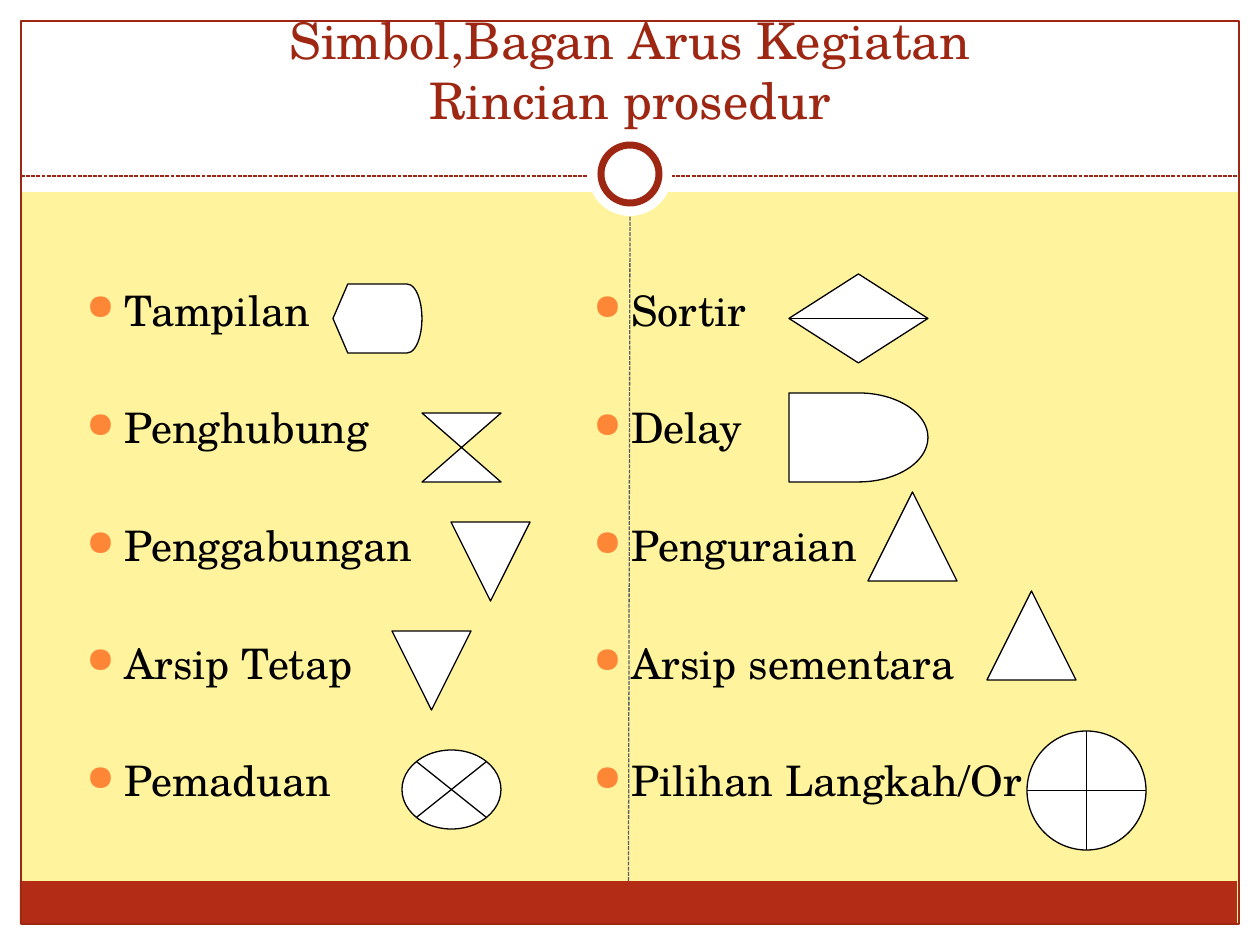
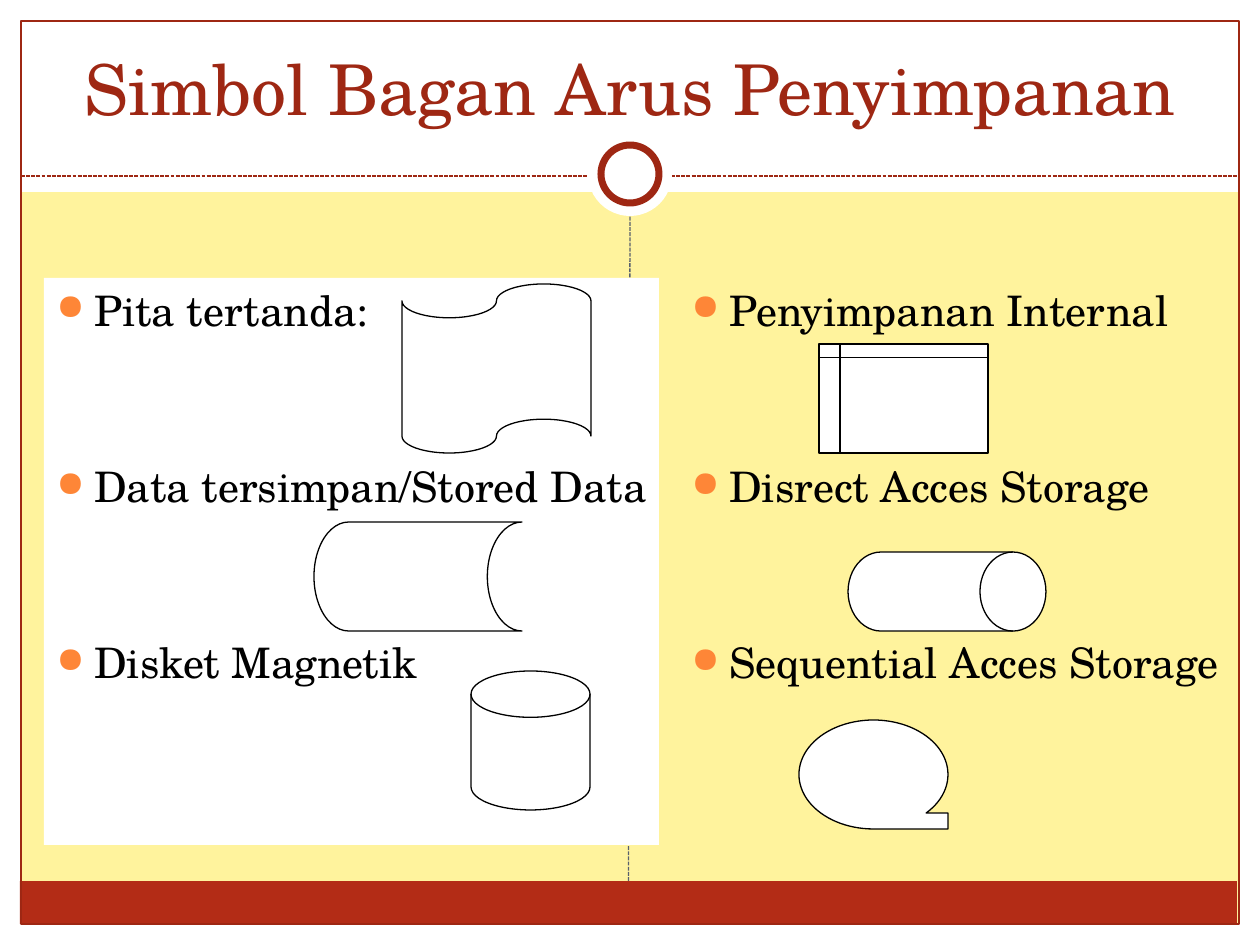
from dataclasses import dataclass

from lxml import etree
from pptx import Presentation, util as u
from pptx.dml.color import RGBColor
from pptx.enum import dml, shapes, text
from pptx.oxml.ns import qn

Symbol = shapes.MSO_SHAPE
EMU_PER_PX = u.Inches(1) / 126
SLIDE_WIDTH, SLIDE_HEIGHT = 1260, 945


@dataclass(frozen=True)
class Theme:
    font: str = "TeX Gyre Schola"
    background: str = "FFF39D"
    paper: str = "FFFFFF"
    ink: str = "000000"
    accent: str = "9E2713"
    band: str = "B32C16"
    divider: str = "575F6D"
    bullet: str = "FE8637"
    hairline: float = 0.75
    ring_line: float = 4
    body_size: float = 24
    first_space: float = 4.8


THEME = Theme()


def px(length):
    return u.Emu(round(length * EMU_PER_PX))


def rgb(colour):
    return RGBColor.from_string(colour)


def add_shape(slide, kind, box, fill=None, line=None, width=THEME.hairline):
    shape = slide.shapes.add_shape(kind, *map(px, box))
    shape.shadow.inherit = False
    if fill:
        shape.fill.solid()
        shape.fill.fore_color.rgb = rgb(fill)
    else:
        shape.fill.background()
    if line:
        shape.line.color.rgb = rgb(line)
        shape.line.width = u.Pt(width)
    else:
        shape.line.fill.background()
    return shape


def add_dashed_line(slide, start, end, colour):
    line = slide.shapes.add_connector(
        shapes.MSO_CONNECTOR.STRAIGHT, *map(px, (*start, *end)))
    line.line.color.rgb = rgb(colour)
    line.line.width = u.Pt(THEME.hairline)
    line.line.dash_style = dml.MSO_LINE.SQUARE_DOT
    etree.SubElement(line._element.spPr, qn("a:effectLst"))
    return line


def add_text_box(slide, box):
    shape = slide.shapes.add_textbox(*map(px, box))
    shape.text_frame.word_wrap = True
    return shape


def set_font(paragraph, size, colour):
    paragraph.font.name = THEME.font
    paragraph.font.size = u.Pt(size)
    paragraph.font.color.rgb = rgb(colour)


def set_bullet(paragraph):
    """Give the paragraph a hanging round bullet; call before set_font."""
    properties = paragraph._p.get_or_add_pPr()
    properties.set("marL", str(u.Inches(0.3)))
    properties.set("indent", str(-u.Inches(0.3)))
    colour = etree.SubElement(properties, qn("a:buClr"))
    etree.SubElement(colour, qn("a:srgbClr"), val=THEME.bullet)
    etree.SubElement(properties, qn("a:buSzPct"), val="85000")
    etree.SubElement(properties, qn("a:buChar"), char="●")


def add_frame(slide):
    """Draw the white margins, the red band, the border and the ring."""
    margin, rule_y, middle = 21, 176, SLIDE_WIDTH // 2
    right, bottom = SLIDE_WIDTH - margin, SLIDE_HEIGHT - margin
    for box in ((0, bottom, SLIDE_WIDTH, margin),
                (0, 0, SLIDE_WIDTH, 192),
                (0, 0, margin, SLIDE_HEIGHT),
                (right, 0, margin, SLIDE_HEIGHT)):
        add_shape(slide, Symbol.RECTANGLE, box, THEME.paper)
    band = add_shape(slide, Symbol.RECTANGLE, (20, 881, 1217, 43), THEME.band)
    add_shape(slide, Symbol.RECTANGLE,
              (margin, margin, right - margin, bottom - margin),
              line=THEME.accent)
    add_dashed_line(slide, (margin, rule_y), (right, rule_y), THEME.accent)
    add_shape(slide, Symbol.OVAL, (588, 132, 84, 84), THEME.paper)
    add_shape(slide, Symbol.OVAL, (601, 145, 58, 58),
              THEME.paper, THEME.accent, THEME.ring_line)
    divider = add_dashed_line(slide, (middle, 881), (middle, 216),
                              THEME.divider)
    divider.begin_connect(band, 0)


def add_title(slide, lines, size):
    frame = add_text_box(slide, (42, 0, 1176, 136)).text_frame
    frame.vertical_anchor = text.MSO_ANCHOR.BOTTOM
    paragraph = frame.paragraphs[0]
    paragraph.alignment = text.PP_ALIGN.CENTER
    for index, line in enumerate(lines):
        if index:
            paragraph.add_line_break()
        paragraph.add_run().text = line
    set_font(paragraph, size, THEME.accent)


def add_symbol_column(slide, column, space):
    """Add a bulleted list and its symbols, placed from the column's corner."""
    left, top, _, _ = column["box"]
    shape = add_text_box(slide, column["box"])
    if "fill" in column:
        shape.fill.solid()
        shape.fill.fore_color.rgb = rgb(column["fill"])
    frame = shape.text_frame
    frame.margin_right = 0
    for index, (label, kind, (x, y, width, height)) in enumerate(column["items"]):
        paragraph = frame.add_paragraph() if index else frame.paragraphs[0]
        paragraph.text = label
        paragraph.space_before = u.Pt(space if index else THEME.first_space)
        set_bullet(paragraph)
        set_font(paragraph, THEME.body_size, THEME.ink)
        add_shape(slide, kind, (left + x, top + y, width, height),
                  THEME.paper, THEME.ink)


def add_symbol_slide(presentation, title, title_size, space, columns):
    slide = presentation.slides.add_slide(presentation.slide_layouts[6])
    slide.background.fill.solid()
    slide.background.fill.fore_color.rgb = rgb(THEME.background)
    add_frame(slide)
    add_title(slide, title, title_size)
    for column in columns:
        add_symbol_column(slide, column, space)


PROCEDURE_COLUMNS = (
    {"box": (74, 278, 507, 567), "items": (
        ("Tampilan", Symbol.FLOWCHART_DISPLAY, (259, 6, 89, 69)),
        ("Penghubung", Symbol.FLOWCHART_COLLATE, (348, 135, 79, 69)),
        ("Penggabungan", Symbol.FLOWCHART_MERGE, (377, 244, 79, 79)),
        ("Arsip Tetap", Symbol.FLOWCHART_MERGE, (318, 353, 79, 79)),
        ("Pemaduan", Symbol.FLOWCHART_SUMMING_JUNCTION, (328, 472, 99, 79)),
    )},
    {"box": (581, 278, 654, 567), "items": (
        ("Sortir", Symbol.FLOWCHART_SORT, (208, -4, 139, 89)),
        ("Delay", Symbol.FLOWCHART_DELAY, (208, 115, 139, 89)),
        ("Penguraian", Symbol.FLOWCHART_EXTRACT, (287, 214, 89, 89)),
        ("Arsip sementara", Symbol.FLOWCHART_EXTRACT, (406, 313, 89, 89)),
        ("Pilihan Langkah/Or", Symbol.FLOWCHART_OR, (446, 453, 119, 119)),
    )},
)

STORAGE_COLUMNS = (
    {"box": (44, 278, 615, 567), "fill": THEME.paper, "items": (
        ("Pita tertanda:", Symbol.FLOWCHART_PUNCHED_TAPE,
         (358, 6, 189, 169)),
        ("Data tersimpan/Stored Data", Symbol.FLOWCHART_STORED_DATA,
         (270, 244, 208, 109)),
        ("Disket Magnetik", Symbol.FLOWCHART_MAGNETIC_DISK,
         (427, 393, 119, 139)),
    )},
    {"box": (679, 278, 554, 567), "items": (
        ("Penyimpanan Internal", Symbol.FLOWCHART_INTERNAL_STORAGE,
         (140, 66, 169, 109)),
        ("Disrect Acces Storage", Symbol.FLOWCHART_DIRECT_ACCESS_STORAGE,
         (169, 274, 198, 79)),
        ("Sequential Acces Storage",
         Symbol.FLOWCHART_SEQUENTIAL_ACCESS_STORAGE, (120, 442, 149, 109)),
    )},
)


def main():
    presentation = Presentation()
    presentation.slide_width = px(SLIDE_WIDTH)
    presentation.slide_height = px(SLIDE_HEIGHT)
    add_symbol_slide(presentation,
                     ("Simbol,Bagan Arus Kegiatan", "Rincian prosedur"),
                     28.8, 38.4, PROCEDURE_COLUMNS)
    add_symbol_slide(presentation, ("Simbol Bagan Arus Penyimpanan",),
                     40, 71.9, STORAGE_COLUMNS)
    presentation.save("out.pptx")


if __name__ == "__main__":
    main()
